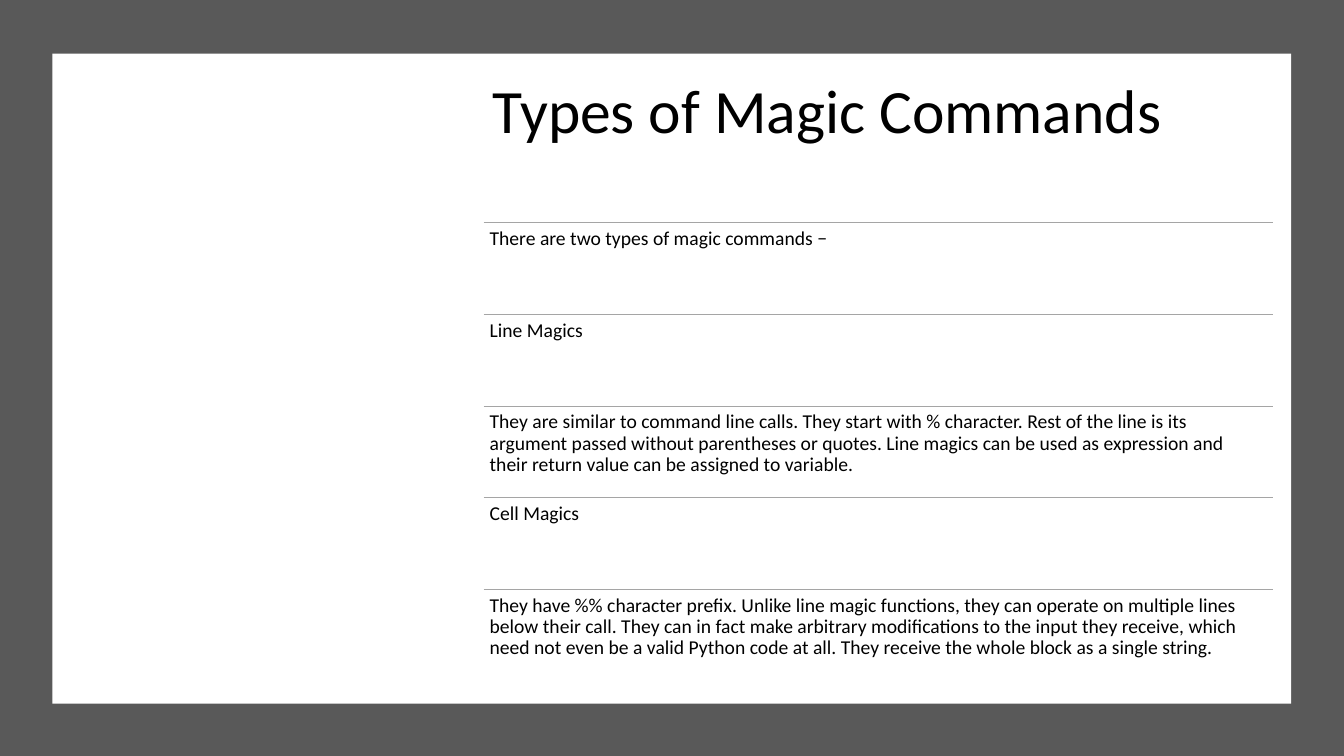
from collections import namedtuple

from lxml.etree import SubElement
from pptx import Presentation
from pptx.dml.color import RGBColor
from pptx.enum.shapes import MSO_CONNECTOR, MSO_SHAPE
from pptx.enum.text import MSO_ANCHOR, MSO_AUTO_SIZE, PP_ALIGN
from pptx.oxml.ns import qn
from pptx.util import Cm, Pt

Box = namedtuple("Box", "left top width height")

COLOURS = {"border": "595959", "panel": "FFFFFF", "rule": "A5A5A5", "text": "000000"}
FONT = "Calibri"
PAGE_BOX = Box(Cm(0), Cm(0), Cm(33.87), Cm(19.05))
PANEL_BOX = Box(Cm(1.32), Cm(1.35), Cm(31.22), Cm(16.38))
TITLE_BOX = Box(Cm(12.17), Cm(1.02), Cm(19.91), Cm(3.68))
ROWS_BOX = Box(Cm(12.19), Cm(5.61), Cm(19.89), Cm(11.55))

TITLE_FRAME = {
    "word_wrap": True,
    "auto_size": MSO_AUTO_SIZE.NONE,
    "vertical_anchor": MSO_ANCHOR.MIDDLE,
}
ROW_FRAME = {
    "word_wrap": True,
    "auto_size": MSO_AUTO_SIZE.NONE,
    "vertical_anchor": MSO_ANCHOR.TOP,
    "margin_left": Cm(0.15),
    "margin_top": Cm(0.15),
    "margin_right": Cm(0.15),
    "margin_bottom": Cm(0.15),
}
TITLE_PARA = {"alignment": PP_ALIGN.LEFT, "line_spacing": 0.9}
ROW_PARA = {**TITLE_PARA, "space_after": Pt(5)}

TITLE = "Types of Magic Commands"
ROWS = [
    "There are two types of magic commands −",
    "Line Magics",
    "They are similar to command line calls. They start with % character. "
    "Rest of the line is its argument passed without parentheses or quotes. "
    "Line magics can be used as expression and their return value can be "
    "assigned to variable.",
    "Cell Magics",
    "They have %% character prefix. Unlike line magic functions, they can "
    "operate on multiple lines below their call. They can in fact make "
    "arbitrary modifications to the input they receive, which need not even "
    "be a valid Python code at all. They receive the whole block as a single "
    "string.",
]


def colour(name):
    """Return the named colour."""
    return RGBColor.from_string(COLOURS[name])


def apply_format(target, values):
    """Set every attribute in values on the target."""
    for name, value in values.items():
        setattr(target, name, value)


def write_text(frame, text, size, frame_format, para_format):
    """Fill a text frame with one formatted paragraph."""
    apply_format(frame, frame_format)
    para = frame.paragraphs[0]
    apply_format(para, para_format)
    span = para.add_run()
    span.text = text
    apply_format(span.font, {"name": FONT, "size": Pt(size)})
    span.font.color.rgb = colour("text")


def add_panel(page, box, fill):
    """Draw a plain filled rectangle over the box."""
    panel = page.shapes.add_shape(MSO_SHAPE.RECTANGLE, *box)
    panel.shadow.inherit = False
    panel.fill.solid()
    panel.fill.fore_color.rgb = colour(fill)
    panel.line.fill.background()


def add_title(page, box):
    """Place the title in the box, in front of the panels."""
    title = page.shapes.title
    apply_format(title, box._asdict())
    write_text(title.text_frame, TITLE, 44, TITLE_FRAME, TITLE_PARA)
    title.element.getparent().append(title.element)


def add_rule(shapes, box):
    """Draw a thin line along the top of the box."""
    rule = shapes.add_connector(
        MSO_CONNECTOR.STRAIGHT, box.left, box.top, box.left + box.width, box.top
    )
    rule.line.color.rgb = colour("rule")
    rule.line.width = Pt(0.5)
    SubElement(rule.element.spPr, qn("a:effectLst"))


def add_rows(page, box):
    """Stack equal rows in the box, each with a rule above its text."""
    shapes = page.shapes.add_group_shape().shapes
    height = box.height // len(ROWS)
    for index, text in enumerate(ROWS):
        row = box._replace(top=box.top + index * height, height=height)
        add_rule(shapes, row)
        write_text(shapes.add_textbox(*row).text_frame, text, 14, ROW_FRAME, ROW_PARA)


def main():
    """Build the slide and save the deck."""
    deck = Presentation()
    deck.slide_width, deck.slide_height = PAGE_BOX.width, PAGE_BOX.height
    page = deck.slides.add_slide(deck.slide_layouts.get_by_name("Title Only"))
    add_panel(page, PAGE_BOX, "border")
    add_panel(page, PANEL_BOX, "panel")
    add_title(page, TITLE_BOX)
    add_rows(page, ROWS_BOX)
    deck.save("out.pptx")


if __name__ == "__main__":
    main()
